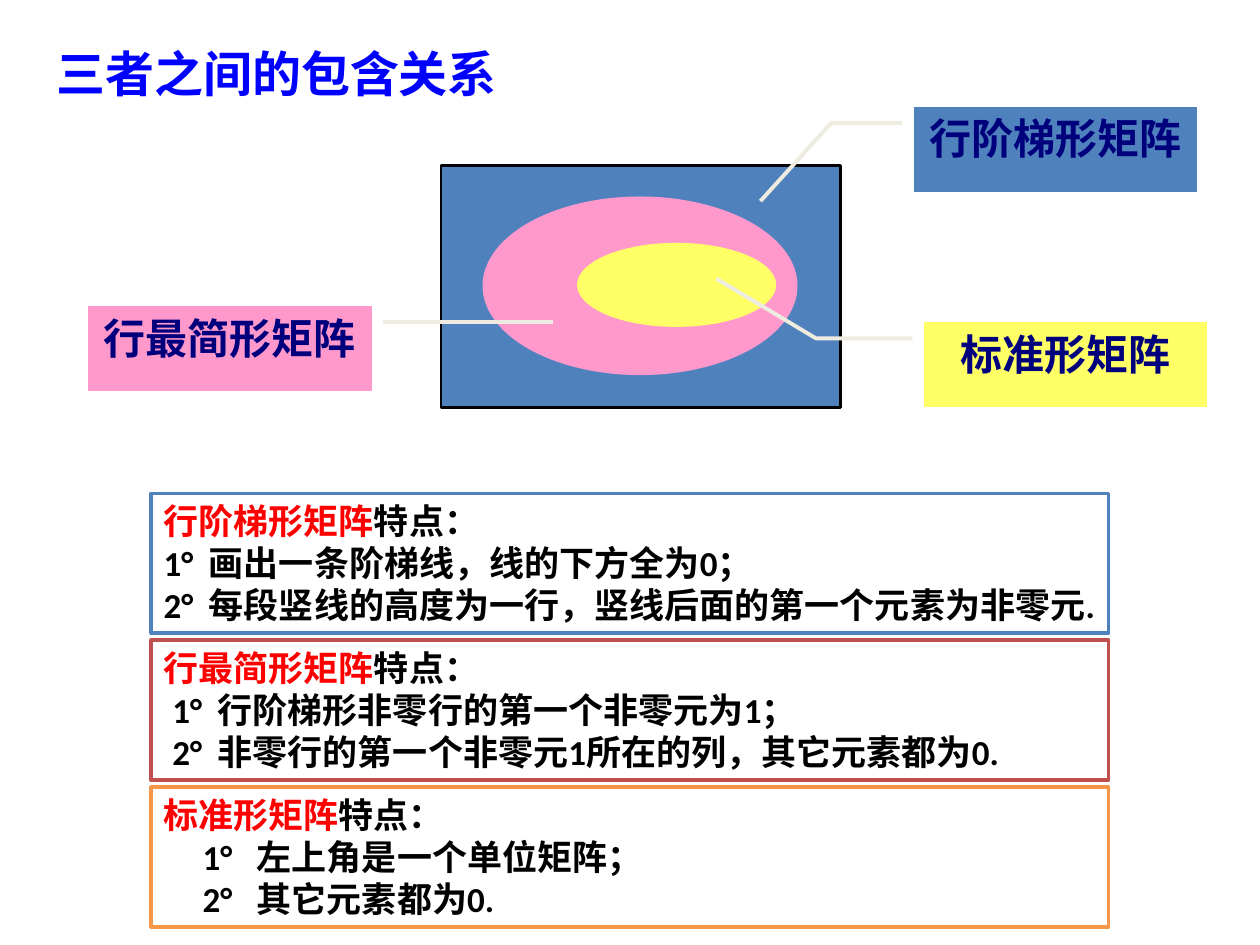
import pptx
import pptx.util
import pptx.dml.color
import pptx.enum.shapes
import pptx.enum.text
from dataclasses import dataclass

WIDE, HIGH = 10, 7.5
BLUE, PINK, YELLOW = "4F81BD", "FF99CC", "FFFF66"
BLACK, RED, WHITE = "000000", "FF0000", "FFFFFF"
KIND = pptx.enum.shapes.MSO_SHAPE
ALIGN = pptx.enum.text.PP_ALIGN
TOP = pptx.enum.text.MSO_ANCHOR.TOP


@dataclass
class Box:
    """Left, top, width and height as shares of the slide."""
    x: float
    y: float
    w: float
    h: float

    def place(self) -> list:
        inch = pptx.util.Inches
        return [inch(self.x * WIDE), inch(self.y * HIGH),
                inch(self.w * WIDE), inch(self.h * HIGH)]


@dataclass
class Level:
    """One matrix form: its region, its label and its leader line."""
    name: str
    fill: str
    kind: int
    zone: Box
    edge: str
    spot: tuple
    lead: list


@dataclass
class Card:
    """The features of one form; indent and hang are in inches."""
    name: str
    line: str
    indent: float
    hang: float
    facts: list


def paint(color, code: str) -> None:
    color.rgb = pptx.dml.color.RGBColor.from_string(code)


def draw(slide, kind: int, box: Box, fill: str, line: str = "", width: float = 1):
    shape = slide.shapes.add_shape(kind, *box.place())
    shape.shadow.inherit = False
    shape.fill.solid()
    paint(shape.fill.fore_color, fill)
    if line:
        paint(shape.line.color, line)
        shape.line.width = pptx.util.Pt(width)
    else:
        shape.line.fill.background()
    return shape


def write(par, text: str, size: float, color: str, align=ALIGN.LEFT,
          indent: float = 0, hang: float = 0) -> None:
    """Add a bold run; a tab in the text jumps to the hanging indent."""
    par.alignment = align
    if hang:
        props = par._p.get_or_add_pPr()
        props.set("marL", str(pptx.util.Inches(indent + hang)))
        props.set("indent", str(pptx.util.Inches(-hang)))
    run = par.add_run()
    run.text = text
    run.font.name = "Calibri"
    run.font.size = pptx.util.Pt(size)
    run.font.bold = True
    paint(run.font.color, color)


def show_level(slide, level: Level) -> None:
    draw(slide, level.kind, level.zone, level.fill, level.edge, 1.5)
    tag = draw(slide, KIND.LINE_CALLOUT_2_NO_BORDER, Box(*level.spot, 0.225, 0.09),
               level.fill, "EEECE1", 2.25)
    for i, value in enumerate(level.lead):
        tag.adjustments[i] = value
    frame = tag.text_frame
    frame.word_wrap = True
    frame.vertical_anchor = TOP
    write(frame.paragraphs[0], level.name, 24, "00007D", align=ALIGN.CENTER)


def show_card(slide, card: Card, box: Box) -> None:
    frame = draw(slide, KIND.RECTANGLE, box, WHITE, card.line, 2).text_frame
    frame.word_wrap = True
    frame.vertical_anchor = TOP
    frame.margin_right = 0
    head = frame.paragraphs[0]
    write(head, card.name, 20, RED)
    write(head, "特点：", 20, BLACK)
    for i, fact in enumerate(card.facts, 1):
        write(frame.add_paragraph(), f"{i}°\t{fact}", 20, BLACK,
              indent=card.indent, hang=card.hang)


LEVELS = [
    Level("行阶梯形矩阵", BLUE, KIND.RECTANGLE, Box(0.35, 0.175, 0.317, 0.256), BLACK,
          (0.725, 0.113), [0.19, -0.04, 0.19, -0.29, 1.11, -0.54]),
    Level("行最简形矩阵", PINK, KIND.OVAL, Box(0.383, 0.208, 0.25, 0.189), "",
          (0.07, 0.324), [0.19, 1.04, 0.19, 1.34, 0.19, 1.64]),
    Level("标准形矩阵", YELLOW, KIND.OVAL, Box(0.458, 0.257, 0.158, 0.089), "",
          (0.733, 0.341), [0.19, -0.04, 0.19, -0.38, -0.51, -0.73]),
]

CARDS = [
    Card("行阶梯形矩阵", BLUE, 0, 0.36,
         ["画出一条阶梯线，线的下方全为0；",
          "每段竖线的高度为一行，竖线后面的第一个元素为非零元."]),
    Card("行最简形矩阵", "C0504D", 0.07, 0.36,
         ["行阶梯形非零行的第一个非零元为1；",
          "非零行的第一个非零元1所在的列，其它元素都为0."]),
    Card("标准形矩阵", "F79646", 0.31, 0.43,
         ["左上角是一个单位矩阵；", "其它元素都为0."]),
]


def main() -> None:
    deck = pptx.Presentation()
    deck.slide_width = pptx.util.Inches(WIDE)
    deck.slide_height = pptx.util.Inches(HIGH)
    slide = deck.slides.add_slide(deck.slide_layouts[6])

    # Nested regions with their callouts, from outer to inner
    for level in LEVELS:
        show_level(slide, level)

    # Title
    title = slide.shapes.add_textbox(*Box(0.035, 0.039, 0.41, 0.076).place())
    title.text_frame.word_wrap = True
    write(title.text_frame.paragraphs[0], "三者之间的包含关系", 28, "0000FF")

    # Feature cards, stacked at an equal pitch
    for row, card in enumerate(CARDS):
        show_card(slide, card, Box(0.12, 0.522 + row * 0.1555, 0.76, 0.148))

    deck.save("out.pptx")


if __name__ == "__main__":
    main()
